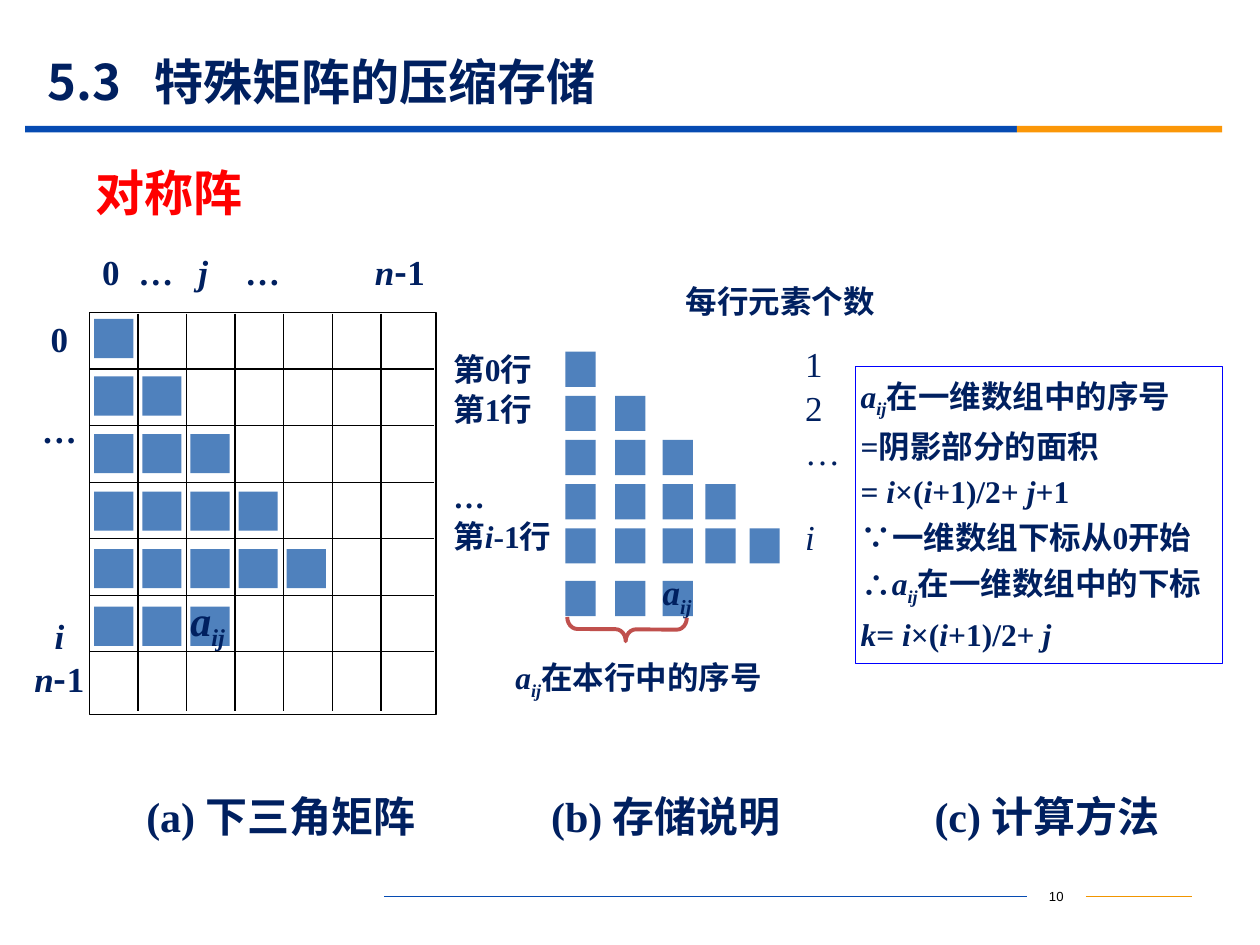
from lxml import etree
from pptx import Presentation
from pptx.dml.color import RGBColor
from pptx.enum.shapes import MSO_CONNECTOR as Connector, MSO_SHAPE as Shape
from pptx.enum.text import MSO_ANCHOR as Anchor, PP_ALIGN as Align
from pptx.oxml.ns import qn
from pptx.util import Cm, Pt

NAVY = RGBColor(0x00, 0x20, 0x60)
RED = RGBColor(0xFF, 0x00, 0x00)
BLACK = RGBColor(0x00, 0x00, 0x00)
CELL_BLUE = RGBColor(0x4F, 0x81, 0xBD)
BRACE_RED = RGBColor(0xC0, 0x50, 0x4D)
FRAME_BLUE = RGBColor(0x00, 0x00, 0xFF)
BAR_BLUE = RGBColor(0x06, 0x4B, 0xB2)
BAR_ORANGE = RGBColor(0xFB, 0x97, 0x08)
RULE_ORANGE = RGBColor(0xF1, 0x95, 0x00)
SERIF = "Times New Roman"
SANS = "Noto Sans CJK SC"

ROW_COUNTS = [1, 2, 3, 4, 5, 3]


def add_runs(paragraph, markup):
    """*x* is italic, *_x* an italic subscript, *^x* upright in the sans font."""
    for index, part in enumerate(markup.split("*")):
        if not part:
            continue
        run = paragraph.add_run()
        run.text = part.lstrip("_^")
        if index % 2 == 0:
            continue
        if part.startswith("^"):
            run.font.name = SANS
            continue
        run.font.italic = True
        if part.startswith("_"):
            run._r.get_or_add_rPr().set("baseline", "-25000")


def set_tabs(paragraph, stops):
    tab_list = etree.SubElement(paragraph._p.get_or_add_pPr(), qn("a:tabLst"))
    for stop in stops:
        etree.SubElement(tab_list, qn("a:tab"), pos=str(Cm(stop)), algn="l")


def write(frame, lines, size, color=NAVY, bold=True, font=SERIF, align=Align.JUSTIFY,
          spacing=None, gaps=(), tabs=(), insets=(0, 0, 0, 0), anchor=Anchor.TOP):
    """Fill a text frame; gaps are the points before each line after the first."""
    frame.word_wrap = True
    frame.vertical_anchor = anchor
    (frame.margin_left, frame.margin_top,
     frame.margin_right, frame.margin_bottom) = [Cm(inset) for inset in insets]
    for index, line in enumerate(lines):
        paragraph = frame.add_paragraph() if index else frame.paragraphs[0]
        paragraph.alignment = align
        if spacing:
            paragraph.line_spacing = spacing
        if index and gaps:
            paragraph.space_before = Pt(gaps[index - 1])
        if tabs:
            set_tabs(paragraph, tabs)
        paragraph.font.size = Pt(size)
        paragraph.font.bold = bold
        paragraph.font.color.rgb = color
        paragraph.font.name = font
        defaults = paragraph._p.pPr.find(qn("a:defRPr"))
        etree.SubElement(defaults, qn("a:ea"), typeface=SANS)
        add_runs(paragraph, line)


def add_text(slide, left, top, width, height, lines, size, **style):
    box = slide.shapes.add_textbox(Cm(left), Cm(top), Cm(width), Cm(height))
    write(box.text_frame, lines, size, **style)
    return box


def add_block(slide, left, top, width, height, fill=None, line=None,
              weight=0.75, kind=Shape.RECTANGLE):
    block = slide.shapes.add_shape(kind, Cm(left), Cm(top), Cm(width), Cm(height))
    block.shadow.inherit = False
    if fill is None:
        block.fill.background()
    else:
        block.fill.solid()
        block.fill.fore_color.rgb = fill
    if line is None:
        block.line.fill.background()
    else:
        block.line.color.rgb = line
        block.line.width = Pt(weight)
    return block


def add_line(slide, x1, y1, x2, y2, color=BLACK):
    rule = slide.shapes.add_connector(
        Connector.STRAIGHT, Cm(x1), Cm(y1), Cm(x2), Cm(y2))
    rule.line.color.rgb = color
    rule.line.width = Pt(0.75)
    etree.SubElement(rule._element.spPr, qn("a:effectLst"))


def add_triangle(slide, lefts, tops, width, height, label_size):
    """Rows of shaded elements; the last one carries the label a_ij."""
    for count, top in zip(ROW_COUNTS, tops):
        for left in lefts[:count]:
            element = add_block(slide, left, top, width, height, CELL_BLUE)
    write(element.text_frame, ["*a**_ij*"], label_size, spacing=0.64)


def add_header_and_footer(slide):
    add_block(slide, 0.51, 2.54, 19.99, 0.13, BAR_BLUE)
    add_block(slide, 20.5, 2.54, 4.14, 0.13, BAR_ORANGE)
    add_text(slide, 0.71, 1.09, 22.86, 1.09, ["5.3\t特殊矩阵的压缩存储"], 28, font=SANS,
             align=Align.LEFT, tabs=[2.16], insets=(0.25, 0, 0.25, 0),
             anchor=Anchor.MIDDLE)
    add_text(slide, 1.68, 3.15, 4.67, 1.45, ["对称阵"], 28, color=RED, align=Align.LEFT,
             insets=(0.25, 0.13, 0.25, 0.13))
    add_line(slide, 7.75, 18.08, 20.7, 18.08, BAR_BLUE)
    add_line(slide, 21.89, 18.08, 24.03, 18.08, RULE_ORANGE)
    add_text(slide, 20.7, 17.75, 1.19, 0.64, ["10"], 7.5, color=BLACK, bold=False,
             font="Arial", align=Align.CENTER, anchor=Anchor.MIDDLE)


def add_matrix(slide):
    add_block(slide, 1.8, 6.3, 6.99, 8.1, line=BLACK)
    for step in range(6):
        row_y = 7.44 + 1.14 * step
        column_x = 2.78 + 0.98 * step
        add_line(slide, 1.8, row_y, 8.74, row_y)
        add_line(slide, column_x, 6.32, column_x, 14.33)
    add_triangle(slide, [1.9 + 0.97 * step for step in range(5)],
                 [6.43 + 1.16 * step for step in range(6)], 0.79, 0.79, 24)
    add_text(slide, 2.06, 5.05, 6.8, 1.19, ["0\t…\t*j*\t…\t*n**^-*1"], 20,
             align=Align.LEFT, tabs=[0.73, 1.94, 2.88, 5.5])
    add_text(slide, 0.6, 6.4, 1.2, 8, ["0", "…", "*i*", "*n**^-*1"], 20,
             align=Align.CENTER, gaps=[28, 94, 0])


def add_storage(slide):
    add_triangle(slide, [11.4, 12.4, 13.36, 14.22, 15.11],
                 [7.09 + 0.89 * step for step in range(5)] + [11.71],
                 0.61, 0.71, 20)
    add_text(slide, 9.14, 7.11, 2.21, 4.78,
             ["第0行", "第1行", "…", "第*i*-1行"], 18, spacing=0.96, gaps=[2, 29, 2])
    add_text(slide, 13.82, 5.69, 4, 0.94, ["每行元素个数"], 18)
    add_text(slide, 16.23, 6.96, 0.69, 4.78, ["1", "2", "…", "*i*"], 20,
             bold=False, spacing=0.96, gaps=[2, 2, 26])
    brace = add_block(slide, 12.4, 11.48, 0.48, 2.41, line=BRACE_RED, weight=2.25,
                      kind=Shape.LEFT_BRACE)
    brace.rotation = 270.4
    brace.adjustments[0] = 0.42
    brace.adjustments[1] = 0.49
    add_text(slide, 10.39, 13.26, 5.33, 1.14, ["*a**_ij*在本行中的序号"], 18)


def add_calculation(slide):
    frame = add_block(slide, 17.25, 7.39, 7.39, 5.99, line=FRAME_BLUE)
    write(frame.text_frame, [
        "*a**_ij*在一维数组中的序号",
        "=阴影部分的面积",
        "= *i*×(*i*+1)/2+ *j*+1",
        "∵一维数组下标从0开始",
        "∴*a**_ij*在一维数组中的下标",
        "*k*=* i*×(*i*+1)/2+ *j*",
    ], 18, spacing=1.2, insets=(0.1, 0.03, 0, 0.03))


def main():
    deck = Presentation()
    deck.slide_width, deck.slide_height = Cm(25.4), Cm(19.05)
    slide = deck.slides.add_slide(deck.slide_layouts[6])
    add_header_and_footer(slide)
    add_matrix(slide)
    add_storage(slide)
    add_calculation(slide)
    add_text(slide, 2.95, 15.93, 20.78, 1.19,
             ["(a) 下三角矩阵\t(b) 存储说明\t(c) 计算方法"], 24,
             align=Align.LEFT, tabs=[8.16, 15.89])
    deck.save("out.pptx")


if __name__ == "__main__":
    main()
